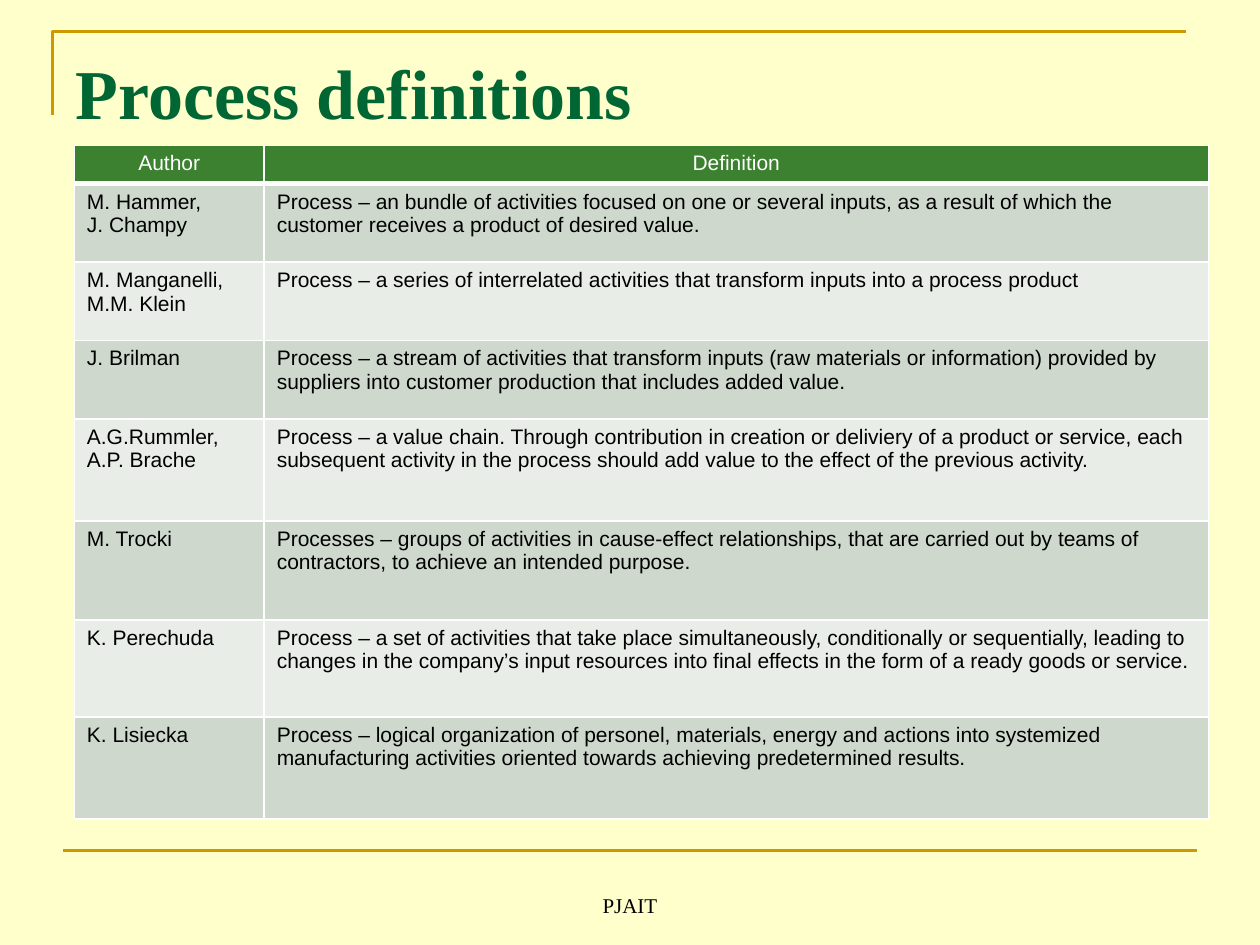
from lxml.etree import SubElement
from pptx import Presentation
from pptx.dml.color import RGBColor
from pptx.enum.shapes import MSO_CONNECTOR as CONN
from pptx.enum.text import MSO_ANCHOR as ANCHOR, PP_ALIGN as ALIGN
from pptx.oxml.ns import qn
from pptx.util import Pt

CREAM = RGBColor(0xFF, 0xFF, 0xCC)
GOLD = RGBColor(0xCC, 0x99, 0x00)
DARK_GREEN = RGBColor(0x00, 0x66, 0x33)
GREEN = RGBColor(0x3B, 0x81, 0x2F)
BANDS = RGBColor(0xCE, 0xD8, 0xCD), RGBColor(0xE8, 0xED, 0xE8)
WHITE = RGBColor(0xFF, 0xFF, 0xFF)
BLACK = RGBColor(0x00, 0x00, 0x00)
SERIF, SANS = "Times New Roman", "Arial"

HEADER = "Author", "Definition"
DEFINITIONS = [
    ("M. Hammer,\nJ. Champy",
     "Process – an bundle of activities focused on one or several inputs, as a result of which "
     "the customer receives a product of desired value."),
    ("M. Manganelli, M.M. Klein",
     "Process – a series of interrelated activities that transform inputs into a process product"),
    ("J. Brilman",
     "Process – a stream of activities that transform inputs (raw materials or information) "
     "provided by suppliers into customer production that includes added value."),
    ("A.G.Rummler, A.P. Brache",
     "Process – a value chain. Through contribution in creation or deliviery of a product or "
     "service, each subsequent activity in the process should add value to the effect of the "
     "previous activity."),
    ("M. Trocki",
     "Processes – groups of activities in cause-effect relationships, that are carried out by "
     "teams of contractors, to achieve an intended purpose."),
    ("K. Perechuda",
     "Process – a set of activities that take place simultaneously, conditionally or "
     "sequentially, leading to changes in the company’s input resources into final effects in "
     "the form of a ready goods or service."),
    ("K. Lisiecka",
     "Process – logical organization of personel, materials, energy and actions into systemized "
     "manufacturing activities oriented towards achieving predetermined results."),
]
COL_WIDTHS = 108.5, 539.5
ROW_HEIGHTS = 22, 44.8, 44.8, 44.8, 58.3, 56.6, 55.4, 58.3


def write(tf, text, font=SANS, size=12, color=BLACK, bold=False, align=ALIGN.LEFT):
    """Fill a text frame, one paragraph per line of text."""
    for i, line in enumerate(text.split("\n")):
        p = tf.paragraphs[0] if i == 0 else tf.add_paragraph()
        p.alignment = align
        r = p.add_run()
        r.text = line
        r.font.name, r.font.size, r.font.bold = font, Pt(size), bold
        r.font.color.rgb = color


class Deck:
    """Holds the style and the current slide."""

    def __init__(self, prs, rule=GOLD, rule_width=1.5):
        self.s = prs.slides.add_slide(prs.slide_layouts[5])
        self.rule, self.rule_width = rule, rule_width
        self.s.background.fill.solid()
        self.s.background.fill.fore_color.rgb = CREAM

    def style_rule(self, sp):
        sp.line.color.rgb = self.rule
        sp.line.width = Pt(self.rule_width)

    def corner(self, left, top, right, bottom):
        builder = self.s.shapes.build_freeform(Pt(left), Pt(bottom))
        builder.add_line_segments(
            [(Pt(left), Pt(top)), (Pt(right), Pt(top))], close=False)
        sp = builder.convert_to_shape()
        sp.shadow.inherit = False
        sp.fill.background()
        self.style_rule(sp)

    def line(self, x1, y1, x2, y2):
        sp = self.s.shapes.add_connector(CONN.STRAIGHT, Pt(x1), Pt(y1), Pt(x2), Pt(y2))
        self.style_rule(sp)
        SubElement(sp._element.spPr, qn("a:effectLst"))

    def title(self, text, *box):
        sp = self.s.shapes.title
        sp.left, sp.top, sp.width, sp.height = map(Pt, box)
        sp.text_frame.vertical_anchor = ANCHOR.MIDDLE
        write(sp.text_frame, text, font=SERIF, size=40, color=DARK_GREEN, bold=True)

    def footer(self, text, *box):
        tf = self.s.shapes.add_textbox(*map(Pt, box)).text_frame
        tf.word_wrap = True
        tf.vertical_anchor = ANCHOR.BOTTOM
        write(tf, text, font=SERIF, align=ALIGN.CENTER)

    def borders(self, cell, bottom):
        tc_pr = cell._tc.get_or_add_tcPr()
        for side, width in zip("LRTB", (1, 1, 1, bottom)):
            ln = SubElement(tc_pr, qn(f"a:ln{side}"), w=str(Pt(width)))
            SubElement(SubElement(ln, qn("a:solidFill")), qn("a:srgbClr"), val=str(WHITE))

    def table(self, rows, left, top):
        tbl = self.s.shapes.add_table(
            len(rows), len(COL_WIDTHS), Pt(left), Pt(top),
            Pt(sum(COL_WIDTHS)), Pt(sum(ROW_HEIGHTS))).table
        for col, width in zip(tbl.columns, COL_WIDTHS):
            col.width = Pt(width)
        for i, (row, height, texts) in enumerate(zip(tbl.rows, ROW_HEIGHTS, rows)):
            row.height = Pt(height)
            head = i == 0
            for cell, text in zip(row.cells, texts):
                self.borders(cell, bottom=3 if head else 1)
                cell.fill.solid()
                cell.fill.fore_color.rgb = GREEN if head else BANDS[(i - 1) % 2]
                write(cell.text_frame, text, color=WHITE if head else BLACK,
                      align=ALIGN.CENTER if head else ALIGN.LEFT)


def main():
    prs = Presentation()
    prs.slide_width, prs.slide_height = Pt(720), Pt(540)
    deck = Deck(prs)
    deck.corner(30, 18, 678, 66)
    deck.line(36, 486, 684, 486)
    deck.title("Process definitions", 36, 21.6, 648, 61.2)
    deck.table([HEADER, *DEFINITIONS], 42.5, 83)
    deck.footer("PJAIT", 246, 492, 228, 36)
    prs.save("out.pptx")


if __name__ == "__main__":
    main()
